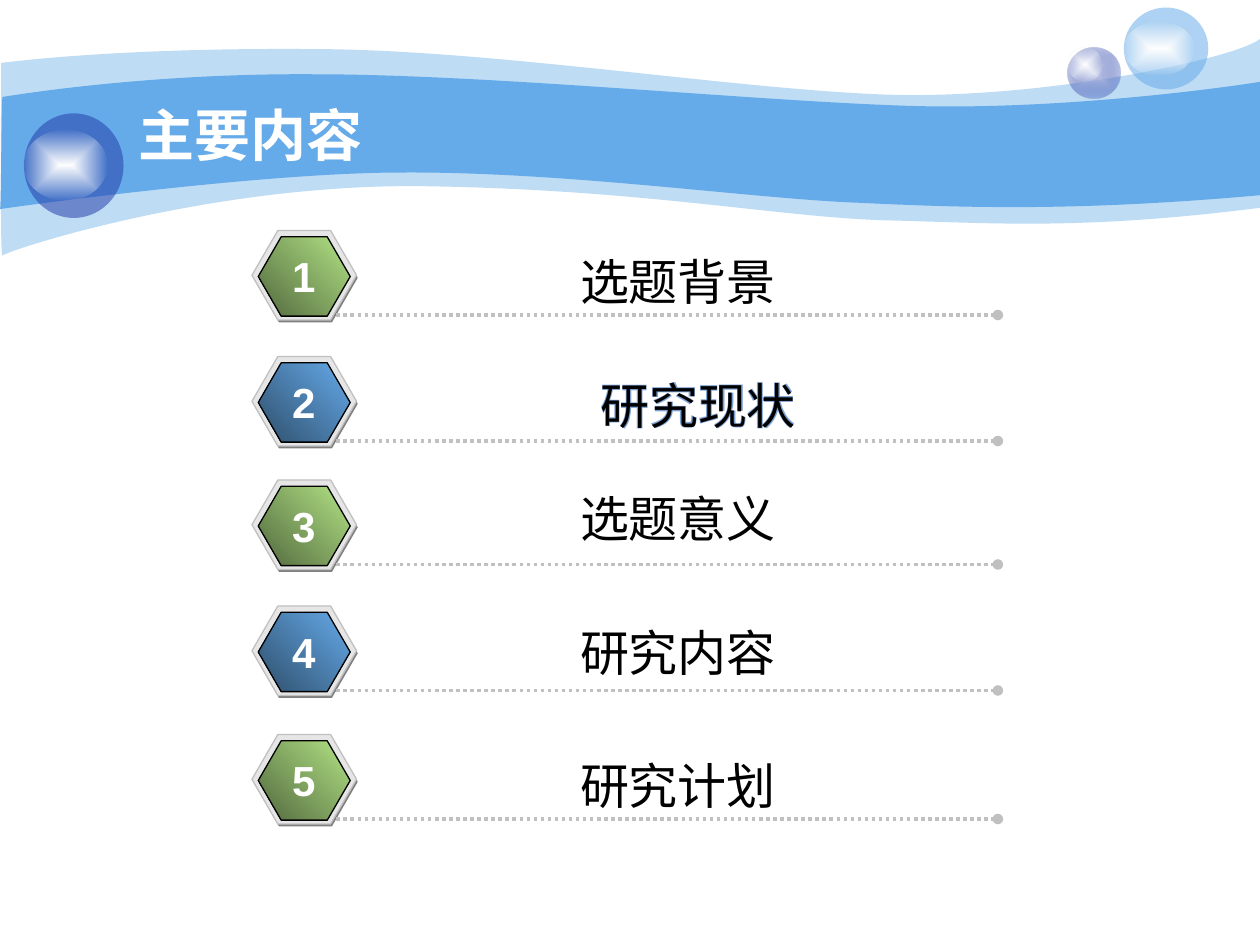
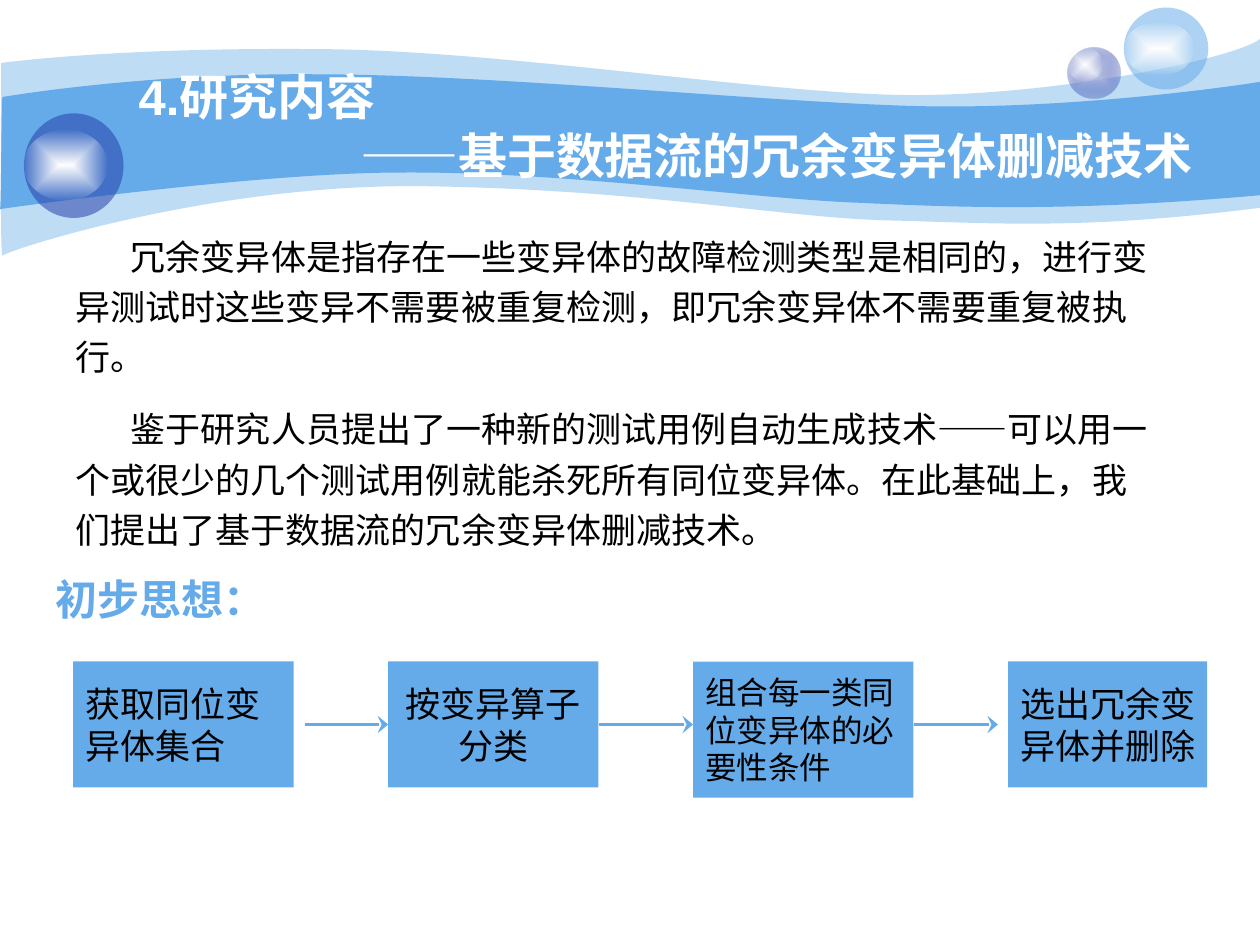
from dataclasses import dataclass
from typing import Any

from lxml import etree
from pptx import Presentation
from pptx.dml.color import RGBColor
from pptx.enum.dml import MSO_LINE
from pptx.enum.lang import MSO_LANGUAGE_ID
from pptx.enum.shapes import MSO_CONNECTOR, MSO_SHAPE
from pptx.enum.text import MSO_ANCHOR, MSO_AUTO_SIZE, PP_ALIGN
from pptx.oxml.ns import qn
from pptx.util import Emu, Pt

PX = 9144
TITLE_ONLY = 5
HEXAGON, OVAL, RECTANGLE = MSO_SHAPE.HEXAGON, MSO_SHAPE.OVAL, MSO_SHAPE.RECTANGLE
STRAIGHT = MSO_CONNECTOR.STRAIGHT
DOTTED = MSO_LINE.ROUND_DOT
LEFT, CENTER = PP_ALIGN.LEFT, PP_ALIGN.CENTER
MIDDLE = MSO_ANCHOR.MIDDLE
FIXED, GROW = MSO_AUTO_SIZE.NONE, MSO_AUTO_SIZE.SHAPE_TO_FIT_TEXT
CHINESE = MSO_LANGUAGE_ID.SIMPLIFIED_CHINESE
SIDE_LEFT, SIDE_RIGHT = 1, 3

SKY, NAVY, WHITE, BLACK = "65AAE9", "233DA9", "FFFFFF", "000000"
SILVER, PALE, GRAY, ECHO = "C0C0C0", "E6E6E6", "808080", "7DA0D3"

Point = tuple[int, int]
Box = tuple[int, int, int, int]


@dataclass(frozen=True)
class Paint:
    color: str
    end: str = ""
    alpha: int = 100
    from_center: bool = False


@dataclass(frozen=True)
class Wave:
    paint: Paint
    start: Point
    top: list[Point]
    right_bottom: Point
    bottom: list[Point]


@dataclass(frozen=True)
class Bubble:
    ball: Box
    glow: Box
    paint: Paint


@dataclass(frozen=True)
class Topic:
    name: str
    top: int
    name_top: int
    name_left: int = 292
    echo: bool = False


@dataclass(frozen=True)
class Step:
    lines: list[str]
    box: Box
    size: int = 20
    align: Any = LEFT


@dataclass(frozen=True)
class Arrow:
    start: int
    end: int
    from_step: int | None = None
    to_step: int | None = None


WAVES = [
    Wave(Paint(SKY, alpha=41), (1, 50),
         [(25, 47), (108, 38), (247, 39), (386, 39), (576, 70), (699, 75),
          (822, 80), (980, 47), (1000, 31)],
         (1000, 165),
         [(858, 183), (788, 177), (705, 175), (622, 173), (515, 151), (344, 148),
          (172, 144), (5, 199), (2, 203), (0, 208), (1, 75), (1, 50)]),
    Wave(Paint(SKY), (2, 77),
         [(3, 77), (111, 58), (249, 59), (387, 59), (596, 80), (719, 84),
          (841, 88), (976, 69), (1000, 65)],
         (1000, 155),
         [(853, 168), (766, 165), (682, 161), (599, 158), (448, 136), (318, 137),
          (204, 137), (-1, 166), (0, 166), (1, 166), (1, 77), (2, 77)]),
]
GLOW = Paint(WHITE, WHITE, 0, True)
BUBBLES = [
    Bubble((847, 38, 42, 40), (847, 38, 28, 27), Paint("C7CEE9", NAVY, 31, True)),
    Bubble((892, 6, 67, 65), (892, 17, 56, 43), Paint(SKY, alpha=53)),
    Bubble((19, 90, 79, 83), (19, 103, 66, 56), Paint(NAVY, alpha=53)),
]
TOPICS = [
    Topic("选题背景", 183, 195),
    Topic("研究现状", 283, 293, 308, True),
    Topic("选题意义", 381, 383),
    Topic("研究内容", 481, 489),
    Topic("研究计划", 583, 595),
]
BADGE_PAINTS = [Paint("B2E385", "52693E"), Paint(SKY, "2F4F6C")]
EXPLANATIONS = [
    (175, "冗余变异体是指存在一些变异体的故障检测类型是相同的，进行变异测试时这些变异不需要被重复检测，"
          "即冗余变异体不需要重复被执行。"),
    (312, "鉴于研究人员提出了一种新的测试用例自动生成技术——可以用一个或很少的几个测试用例就能杀死所有同位变异体。"
          "在此基础上，我们提出了基于数据流的冗余变异体删减技术。"),
]
STEPS = [
    Step(["获取同位变", "异体集合"], (58, 525, 175, 100)),
    Step(["按变异算子", "分类"], (308, 525, 167, 100), align=CENTER),
    Step(["组合每一类同", "位变异体的必", "要性条件"], (550, 525, 175, 108), 18),
    Step(["选出冗余变", "异体并删除"], (800, 525, 158, 100)),
]
ARROWS = [Arrow(242, 308, to_step=1), Arrow(475, 550, from_step=1), Arrow(725, 792)]
ARROW_Y = 575


def rgb(color: str) -> RGBColor:
    return RGBColor.from_string(color)


def px(*lengths: int) -> list[Emu]:
    return [Emu(length * PX) for length in lengths]


def apply(target: Any, values: dict[str, Any]) -> None:
    for name, value in values.items():
        setattr(target, name, value)


def place(shape: Any, box: Box) -> None:
    apply(shape, dict(zip(("left", "top", "width", "height"), px(*box))))


def paint_shape(shape: Any, paint: Paint, outline: str = "") -> None:
    shape.shadow.inherit = False
    if paint.end:
        shape.fill.gradient()
        for stop, color in zip(shape.fill.gradient_stops, (paint.color, paint.end)):
            stop.color.rgb = rgb(color)
        shape.fill.gradient_angle = 225
    else:
        shape.fill.solid()
        shape.fill.fore_color.rgb = rgb(paint.color)
    properties = shape.element.spPr
    if paint.alpha < 100:
        last_color = list(properties.iter(qn("a:srgbClr")))[-1]
        etree.SubElement(last_color, qn("a:alpha"), val=str(paint.alpha * 1000))
    if paint.from_center:
        gradient = properties.find(qn("a:gradFill"))
        gradient.remove(gradient.find(qn("a:lin")))
        center = etree.SubElement(gradient, qn("a:path"), {"path": "rect"})
        etree.SubElement(center, qn("a:fillToRect"), dict.fromkeys("ltrb", "50000"))
    if outline:
        shape.line.color.rgb = rgb(outline)
        shape.line.width = Pt(0.75)
    else:
        shape.line.fill.background()


def add_solid(slide: Any, kind: Any, box: Box, paint: Paint, outline: str = "") -> Any:
    shape = slide.shapes.add_shape(kind, *px(*box))
    paint_shape(shape, paint, outline)
    return shape


def write(frame: Any, lines: list[str], size: int, color: str, bold: bool = False,
          align: Any = LEFT, spacing: float = 1.0) -> None:
    frame.text = "\n".join(lines)
    for paragraph in frame.paragraphs:
        apply(paragraph, {"alignment": align, "line_spacing": spacing})
        for run in paragraph.runs:
            apply(run.font, {"name": "Arial", "size": Pt(size), "bold": bold,
                             "language_id": CHINESE})
            run.font.color.rgb = rgb(color)


def add_text(slide: Any, box: Box, text: str, size: int, color: str, wrap: bool = True,
             **style: Any) -> Any:
    frame = slide.shapes.add_textbox(*px(*box)).text_frame
    apply(frame, {"word_wrap": wrap, "auto_size": GROW})
    write(frame, [text], size, color, **style)
    return frame


def indent(paragraph: Any, attribute: str, length: int) -> None:
    paragraph._p.get_or_add_pPr().set(attribute, str(length * PX))


def set_title(slide: Any, box: Box, lines: list[str], size: int) -> Any:
    title = slide.shapes.title
    place(title, box)
    frame = title.text_frame
    apply(frame, {"vertical_anchor": MIDDLE, "word_wrap": True, "auto_size": FIXED})
    write(frame, lines, size, WHITE, bold=True)
    return frame


def add_line(slide: Any, start: Point, end: Point, color: str, ending: dict[str, str]) -> Any:
    line = slide.shapes.add_connector(STRAIGHT, *px(*start, *end))
    line.line.color.rgb = rgb(color)
    line.line.width = Pt(2)
    if ending["type"] == "oval":
        line.line.dash_style = DOTTED
    properties = line.element.spPr
    etree.SubElement(properties.find(qn("a:ln")), qn("a:tailEnd"), ending)
    etree.SubElement(properties, qn("a:effectLst"))
    return line


def bend(segments: list[Any]) -> None:
    for first in range(0, len(segments), 3):
        curve = etree.Element(qn("a:cubicBezTo"))
        segments[first].addprevious(curve)
        for segment in segments[first:first + 3]:
            curve.append(segment[0])
            segment.getparent().remove(segment)


def add_wave(slide: Any, wave: Wave) -> Any:
    builder = slide.shapes.build_freeform(*wave.start, scale=PX)
    builder.add_line_segments([*wave.top, wave.right_bottom, *wave.bottom], close=True)
    shape = builder.convert_to_shape()
    segments = list(shape.element.spPr.iter(qn("a:lnTo")))
    corner = len(wave.top)
    bend(segments[:corner])
    bend(segments[corner + 1:corner + 1 + len(wave.bottom)])
    paint_shape(shape, wave.paint)
    return shape


def decorate_layout(layout: Any, slide: Any) -> None:
    for placeholder in list(layout.placeholders)[1:]:
        placeholder.element.getparent().remove(placeholder.element)
    backdrop = [add_wave(slide, wave) for wave in WAVES]
    for bubble in BUBBLES:
        backdrop.append(add_solid(slide, OVAL, bubble.ball, bubble.paint))
        backdrop.append(add_solid(slide, OVAL, bubble.glow, GLOW))
    for shape in backdrop:
        layout.element.cSld.spTree.append(shape.element)


def add_topic(slide: Any, number: int, topic: Topic) -> None:
    top = topic.top
    badge = BADGE_PAINTS[(number - 1) % 2]
    for box, paint, outline in (((201, top + 2, 83, 71), Paint(GRAY), ""),
                                ((200, top, 83, 71), Paint(PALE), SILVER),
                                ((205, top + 5, 73, 63), badge, BLACK)):
        add_solid(slide, HEXAGON, box, paint, outline).adjustments[0] = 0.289
    add_line(slide, (267, top + 67), (792, top + 67), SILVER, {"type": "oval"})
    add_text(slide, (222, top + 11, 38, 50), str(number), 24, WHITE, wrap=False,
             bold=True, align=CENTER)
    name_box = (topic.name_left, topic.name_top, 492, 57)
    if topic.echo:
        add_text(slide, name_box, topic.name, 28, ECHO, bold=True, align=CENTER)
    add_text(slide, name_box, topic.name, 28, BLACK, align=CENTER)


def build_contents(slide: Any) -> None:
    set_title(slide, (100, 88, 808, 37), ["主要内容"], 32)
    for number, topic in enumerate(TOPICS, 1):
        add_topic(slide, number, topic)


def add_step(slide: Any, step: Step) -> Any:
    shape = add_solid(slide, RECTANGLE, step.box, Paint(SKY))
    apply(shape.text_frame, {"vertical_anchor": MIDDLE, "word_wrap": False})
    write(shape.text_frame, step.lines, step.size, BLACK, align=step.align)
    return shape


def build_research(slide: Any) -> None:
    heading = set_title(slide, (100, 83, 900, 33),
                        ["4.研究内容", "——基于数据流的冗余变异体删减技术"], 28)
    indent(heading.paragraphs[1], "marL", 176)
    for top, explanation in EXPLANATIONS:
        frame = add_text(slide, (50, top, 875, 130), explanation, 20, BLACK, spacing=1.2)
        indent(frame.paragraphs[0], "indent", 44)
    add_text(slide, (34, 450, 186, 50), "初步思想：", 24, SKY, wrap=False, bold=True)
    steps = [add_step(slide, step) for step in STEPS]
    for arrow in ARROWS:
        line = add_line(slide, (arrow.start, ARROW_Y), (arrow.end, ARROW_Y), SKY,
                        {"type": "stealth", "w": "lg"})
        if arrow.from_step is not None:
            line.begin_connect(steps[arrow.from_step], SIDE_RIGHT)
        if arrow.to_step is not None:
            line.end_connect(steps[arrow.to_step], SIDE_LEFT)


def main() -> None:
    deck = Presentation()
    apply(deck, dict(zip(("slide_width", "slide_height"), px(1000, 750))))
    layout = deck.slide_layouts[TITLE_ONLY]
    contents, research = (deck.slides.add_slide(layout) for _ in range(2))
    decorate_layout(layout, contents)
    build_contents(contents)
    build_research(research)
    deck.save("out.pptx")


if __name__ == "__main__":
    main()
